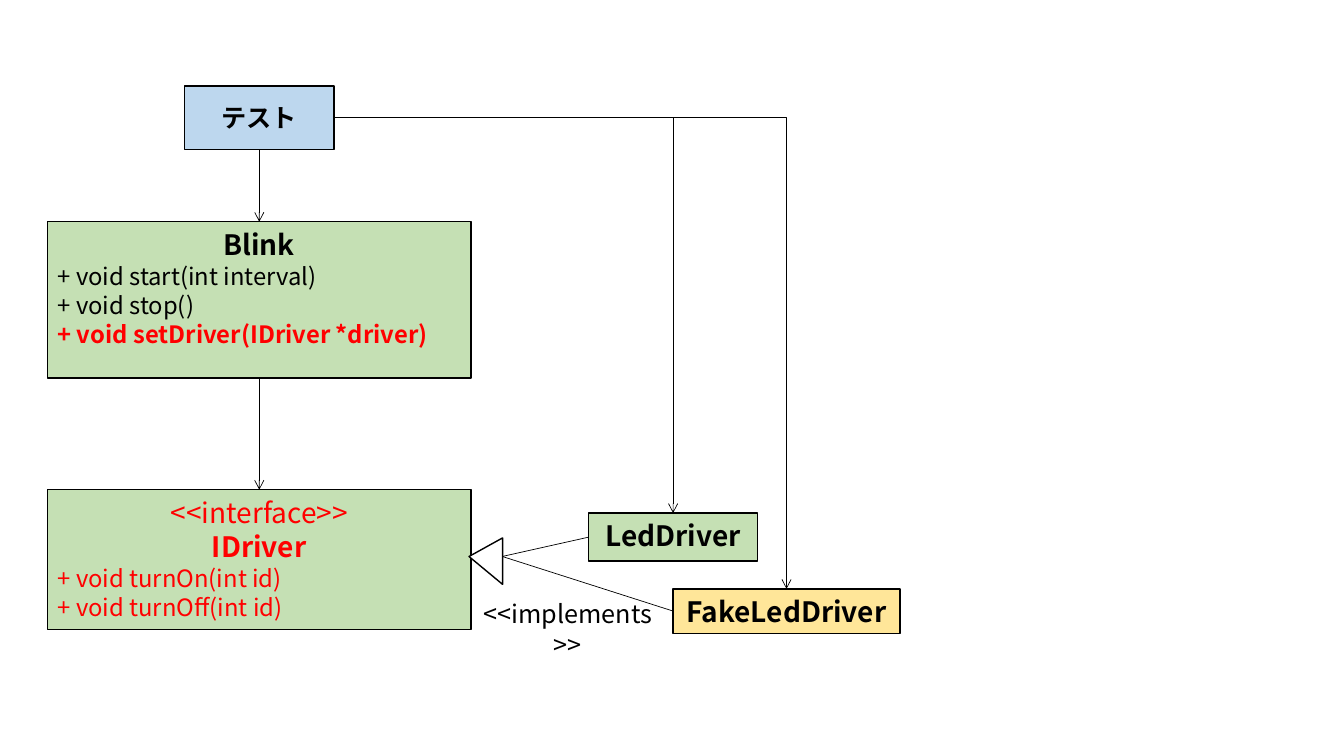
import pptx
import pptx.util
import pptx.dml.color
import pptx.enum.shapes
import pptx.enum.text
import pptx.oxml
import pptx.oxml.ns

Pt = pptx.util.Pt
Kind = pptx.enum.shapes.MSO_SHAPE
Link = pptx.enum.shapes.MSO_CONNECTOR
Align = pptx.enum.text.PP_ALIGN
Anchor = pptx.enum.text.MSO_ANCHOR

COLORS = {
    "black": "000000",
    "red": "FF0000",
    "white": "FFFFFF",
    "green": "C5E0B4",
    "blue": "BDD7EE",
    "yellow": "FFE699",
}
FONT = "Noto Sans CJK JP"
LEADING = 1.22


def rgb(name):
    return pptx.dml.color.RGBColor.from_string(COLORS[name])


def title(text, color="black", bold=True, size=20):
    return text, size, color, bold, Align.CENTER


def member(text, color="black", bold=False):
    return text, 17, color, bold, Align.LEFT


def write(frame, rows, font=FONT):
    frame.word_wrap = True
    frame.text = "\n".join(row[0] for row in rows)
    for para, (text, size, color, bold, align) in zip(frame.paragraphs, rows):
        para.alignment = align
        para.line_spacing = Pt(round(size * LEADING, 1))
        face = para.runs[0].font
        face.name = font
        face.size = Pt(size)
        face.bold = bold
        face.color.rgb = rgb(color)


def add_form(slide, kind, place, fill):
    form = slide.shapes.add_shape(kind, *map(Pt, place))
    form.shadow.inherit = False
    form.fill.solid()
    form.fill.fore_color.rgb = rgb(fill)
    form.line.color.rgb = rgb("black")
    form.line.width = Pt(1)
    return form


def add_box(slide, place, fill, rows, anchor=Anchor.TOP, font=FONT):
    box = add_form(slide, Kind.RECTANGLE, place, fill)
    box.text_frame.vertical_anchor = anchor
    write(box.text_frame, rows, font)
    return box


def add_label(slide, place, rows):
    label = slide.shapes.add_textbox(*map(Pt, place))
    write(label.text_frame, rows)


def add_link(slide, start, end, arrow=False, bent=False):
    kind = Link.ELBOW if bent else Link.STRAIGHT
    link = slide.shapes.add_connector(kind, *start, *end)
    link.line.color.rgb = rgb("black")
    link.line.width = Pt(0.5)
    props = link._element.spPr
    if bent:
        props.find(pptx.oxml.ns.qn("a:prstGeom")).set("prst", "bentConnector2")
    if arrow:
        space = pptx.oxml.ns.nsdecls("a")
        tail = pptx.oxml.parse_xml(f'<a:tailEnd {space} type="arrow"/>')
        link.line._get_or_add_ln().append(tail)
    props.append(pptx.oxml.parse_xml(
        f'<a:effectLst {pptx.oxml.ns.nsdecls("a")}/>'))


def top(box):
    return box.left + box.width // 2, box.top


def bottom(box):
    return box.left + box.width // 2, box.top + box.height


def left(box):
    return box.left, box.top + box.height // 2


def right(box):
    return box.left + box.width, box.top + box.height // 2


def main():
    deck = pptx.Presentation()
    deck.slide_width, deck.slide_height = Pt(960), Pt(540)
    slide = deck.slides.add_slide(deck.slide_layouts[6])

    blink = add_box(slide, (34, 158.4, 302.4, 111.6), "green", [
        title("Blink"),
        member("+ void start(int interval)"),
        member("+ void stop()"),
        member("+ void setDriver(IDriver *driver)", "red", True),
    ])
    test = add_box(slide, (131.9, 61.4, 106.6, 45.2), "blue",
                   [title("テスト", size=18)], Anchor.MIDDLE, "Calibri")
    fake = add_box(slide, (480.8, 420.6, 162, 31.8), "yellow",
                   [title("FakeLedDriver")])
    driver = add_box(slide, (34, 349.8, 302.4, 100), "green", [
        title("<<interface>>", "red", False),
        title("IDriver", "red"),
        member("+ void turnOn(int id)", "red"),
        member("+ void turnOff(int id)", "red"),
    ])
    led = add_box(slide, (420.4, 366.5, 120.8, 34.4), "green",
                  [title("LedDriver")])

    for upper, lower in ((test, blink), (blink, driver)):
        add_link(slide, bottom(upper), top(lower), arrow=True)
    for child in (led, fake):
        add_link(slide, (Pt(358.8), Pt(397.5)), left(child))

    head = add_form(slide, Kind.ISOSCELES_TRIANGLE,
                    (330.4, 388.8, 33.2, 24), "white")
    head.adjustments[0] = 0.6
    head.rotation = 270
    add_label(slide, (334.8, 423.4, 141.8, 29),
              [title("<<implements>>", bold=False, size=18)])

    for child in (led, fake):
        add_link(slide, right(test), top(child), arrow=True, bent=True)

    deck.save("out.pptx")


main()
